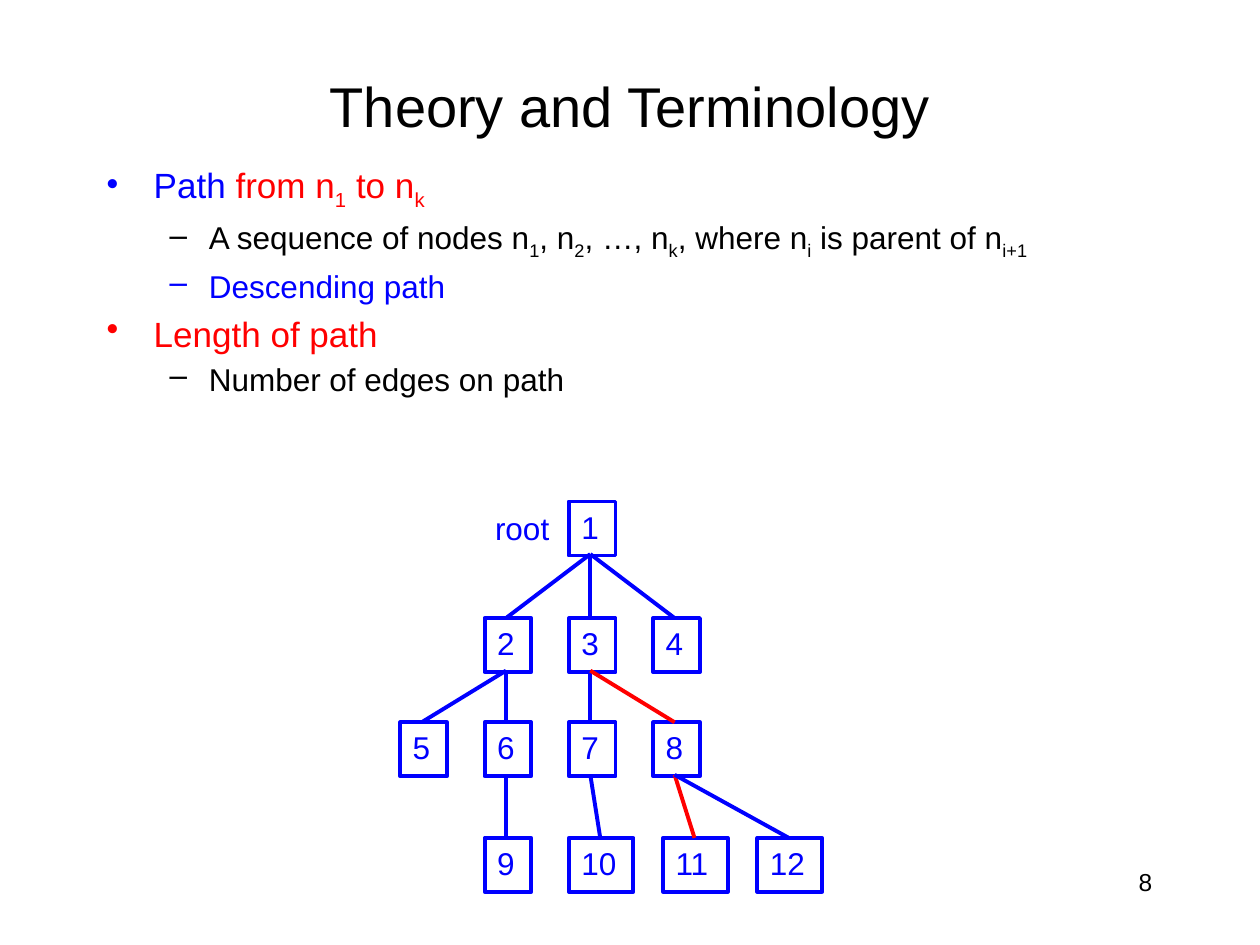
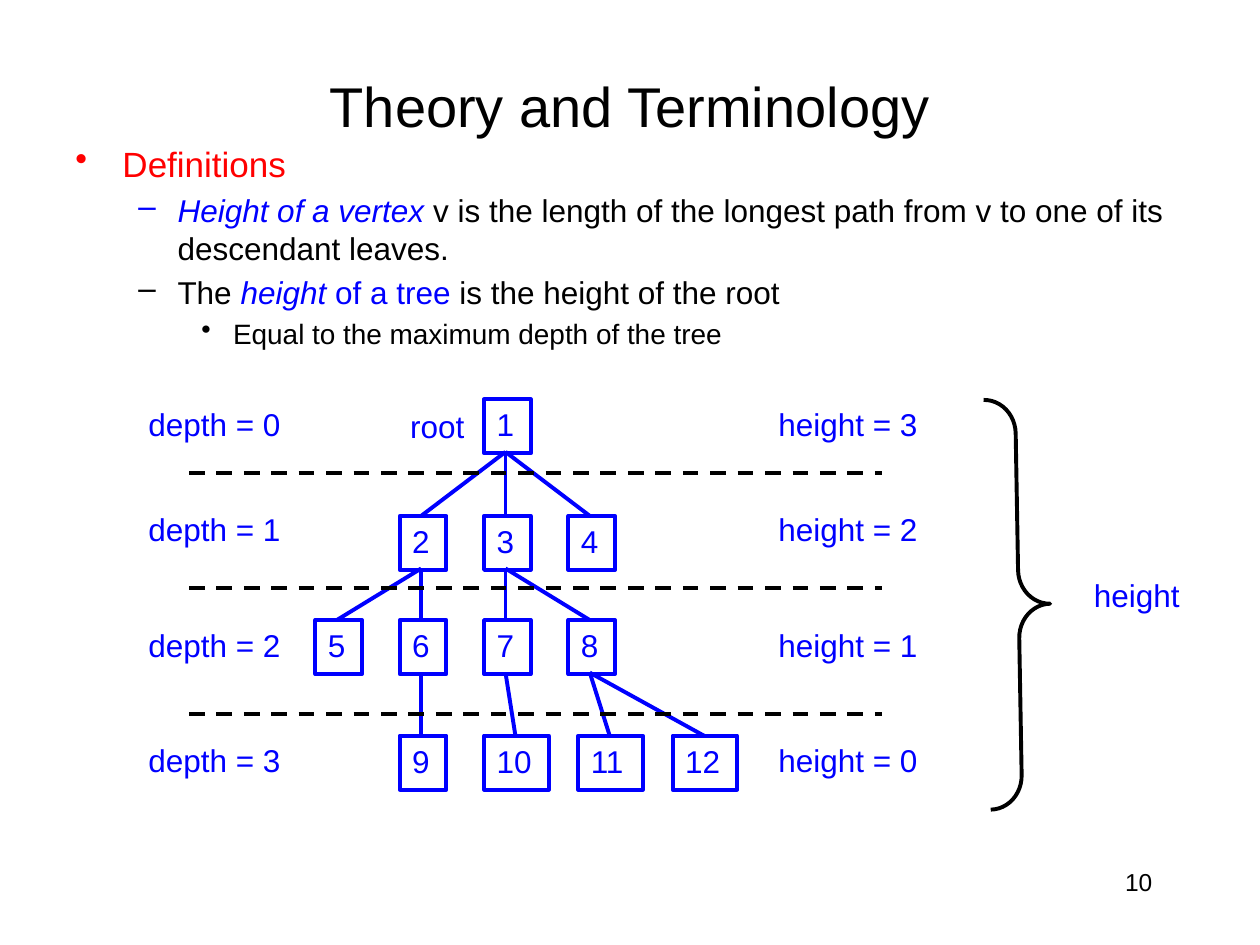
from lxml import etree
from pptx import Presentation
from pptx import util as u
from pptx.dml import color
from pptx.enum import dml, shapes, text
from pptx.oxml import ns

COLORS = {"black": "000000", "blue": "0000FF", "red": "FF0000"}
FONT = "Arial"
LINE_WIDTH = u.Pt(2.25)
TITLE = "Theory and Terminology"

LEVELS = [
    {"size": 20, "bullet": "•", "margin": 0.95, "indent": -0.95},
    {"size": 18, "bullet": "–", "margin": 2.06, "indent": -0.79},
    {"size": 16, "bullet": "•", "margin": 3.18, "indent": -0.64},
]

COLUMN_STEP = 1.7
LEAF_STEP = 1.9
ROW_TOPS = [0, 2.35, 4.45, 6.78]
NODE_HEIGHT = 1.09
NODES = {
    1: (0, 0),
    2: (-COLUMN_STEP, 1), 3: (0, 1), 4: (COLUMN_STEP, 1),
    5: (-2 * COLUMN_STEP, 2), 6: (-COLUMN_STEP, 2), 7: (0, 2), 8: (COLUMN_STEP, 2),
    9: (-COLUMN_STEP, 3), 10: (0, 3), 11: (LEAF_STEP, 3), 12: (2 * LEAF_STEP, 3),
}
EDGES = [(1, 2), (1, 3), (1, 4), (2, 5), (2, 6), (6, 9), (3, 7), (3, 8),
         (7, 10), (8, 11), (8, 12)]


def set_all(target, values):
    for name, value in values.items():
        setattr(target, name, value)


class Deck:
    def __init__(self):
        self.presentation = Presentation()
        set_all(self.presentation, {"slide_width": u.Cm(25.4), "slide_height": u.Cm(19.05)})
        self.slide = None

    def add_slide(self, number):
        self.slide = self.presentation.slides.add_slide(self.presentation.slide_layouts[6])
        title = self.text_box(1.9, 1.06, 21.6, 2.12, {"vertical_anchor": text.MSO_ANCHOR.MIDDLE})
        self.line_of_text(title, TITLE, 32, "black", text.PP_ALIGN.CENTER)
        footer = self.text_box(18.2, 17.35, 5.28, 1.27)
        self.line_of_text(footer, str(number), 14, "black", text.PP_ALIGN.RIGHT)

    def text_box(self, left, top, width, height, values=None):
        shape = self.slide.shapes.add_textbox(*map(u.Cm, (left, top, width, height)))
        set_all(shape.text_frame, {"word_wrap": True, **(values or {})})
        return shape

    def run(self, paragraph, words, size, color_name, style=""):
        run = paragraph.add_run()
        run.text = words
        set_all(run.font, {"name": FONT, "size": u.Pt(size), "italic": style == "italic"})
        run.font.color.rgb = color.RGBColor.from_string(COLORS[color_name])
        if style == "sub":
            run.font._element.set("baseline", "-25000")

    def line_of_text(self, shape, words, size, color_name, alignment):
        paragraph = shape.text_frame.paragraphs[0]
        paragraph.alignment = alignment
        self.run(paragraph, words, size, color_name)

    def fit(self, shape, words):
        set_all(shape.text_frame, {"word_wrap": False, "vertical_anchor": text.MSO_ANCHOR.TOP,
                                   "auto_size": text.MSO_AUTO_SIZE.SHAPE_TO_FIT_TEXT})
        self.line_of_text(shape, words, 18, "blue", text.PP_ALIGN.LEFT)

    def label(self, words, left, top, width):
        self.fit(self.text_box(left, top, width, 1.03), words)

    def body(self, left, top, width, height, items):
        frame = self.text_box(left, top, width, height).text_frame
        for index, (level, runs) in enumerate(items):
            paragraph = frame.add_paragraph() if index else frame.paragraphs[0]
            paragraph.level = level
            style = LEVELS[level]
            properties = paragraph._p.get_or_add_pPr()
            properties.set("marL", str(u.Cm(style["margin"])))
            properties.set("indent", str(u.Cm(style["indent"])))
            spacing = etree.SubElement(properties, ns.qn("a:spcBef"))
            etree.SubElement(spacing, ns.qn("a:spcPct")).set("val", "20000")
            etree.SubElement(properties, ns.qn("a:buChar")).set("char", style["bullet"])
            for words, *look in runs:
                self.run(paragraph, words, style["size"], *look)

    def outline(self, line, color_name):
        line.color.rgb = color.RGBColor.from_string(COLORS[color_name])
        line.width = LINE_WIDTH

    def shape(self, kind, left, top, width, height, color_name):
        shape = self.slide.shapes.add_shape(kind, *map(u.Cm, (left, top, width, height)))
        shape.shadow.inherit = False
        shape.fill.background()
        self.outline(shape.line, color_name)
        return shape

    def line(self, start, end, color_name, dash=None):
        connector = self.slide.shapes.add_connector(
            shapes.MSO_CONNECTOR.STRAIGHT, *map(u.Cm, (*start, *end)))
        self.outline(connector.line, color_name)
        if dash:
            connector.line.dash_style = dash
        etree.SubElement(connector._element.spPr, ns.qn("a:effectLst"))

    def tree(self, left, top, red_edges=()):
        for number, (offset, row) in NODES.items():
            width = 0.94 if number < 10 else 1.3
            node = self.shape(shapes.MSO_SHAPE.RECTANGLE, left + offset, top + ROW_TOPS[row],
                              width, NODE_HEIGHT, "blue")
            self.fit(node, str(number))
        for parent, child in EDGES:
            (parent_x, parent_row), (child_x, child_row) = NODES[parent], NODES[child]
            child_middle = 0.43 if child < 10 else 0.63
            self.line((left + parent_x + 0.43, top + ROW_TOPS[parent_row] + 1.06),
                      (left + child_x + child_middle, top + ROW_TOPS[child_row]),
                      "red" if (parent, child) in red_edges else "blue")
        self.label("root", left - 1.74, top + 0.03, 1.6)


def path_slide(deck):
    deck.add_slide(8)
    sequence = [("A sequence of nodes n", ""), ("1", "sub"), (", n", ""), ("2", "sub"),
                (", …, n", ""), ("k", "sub"), (", where n", ""), ("i", "sub"),
                (" is parent of n", ""), ("i+1", "sub")]
    deck.body(1.9, 3.18, 21.6, 13.77, [
        (0, [("Path", "blue"), (" from n", "red"), ("1", "red", "sub"),
             (" to n", "red"), ("k", "red", "sub")]),
        (1, [(words, "black", style) for words, style in sequence]),
        (1, [("Descending path", "blue")]),
        (0, [("Length of path", "red")]),
        (1, [("Number of edges on path", "black")]),
    ])
    deck.tree(11.47, 10.11, red_edges=[(3, 8), (8, 11)])


def height_slide(deck):
    deck.add_slide(10)
    deck.body(1.27, 2.75, 22.86, 15.45, [
        (0, [("Definitions", "red")]),
        (1, [("Height of a vertex", "blue", "italic"),
             (" v is the length of the longest path from v to one of its descendant leaves.",
              "black")]),
        (1, [("The ", "black"), ("height", "blue", "italic"), (" of a tree", "blue"),
             (" is the height of the root", "black")]),
        (2, [("Equal to the maximum depth of the tree", "black")]),
    ])
    brace = deck.shape(shapes.MSO_SHAPE.LEFT_BRACE, 19.9, 8.05, 1.27, 8.26, "black")
    brace.rotation = 179
    brace.adjustments[0], brace.adjustments[1] = 0.54, 0.5
    deck.label("height", 21.8, 11.48, 2.24)
    deck.tree(9.76, 8.05)
    for top in (9.53, 11.86, 14.4):
        deck.line((3.81, top), (17.78, top), "black", dml.MSO_LINE.DASH)
    for depth, top in enumerate((8.05, 10.16, 12.5, 14.81)):
        deck.label(f"depth = {depth}", 2.74, top, 3.18)
        deck.label(f"height = {3 - depth}", 15.44, top, 3.33)


def main():
    deck = Deck()
    path_slide(deck)
    height_slide(deck)
    deck.presentation.save("out.pptx")


if __name__ == "__main__":
    main()
